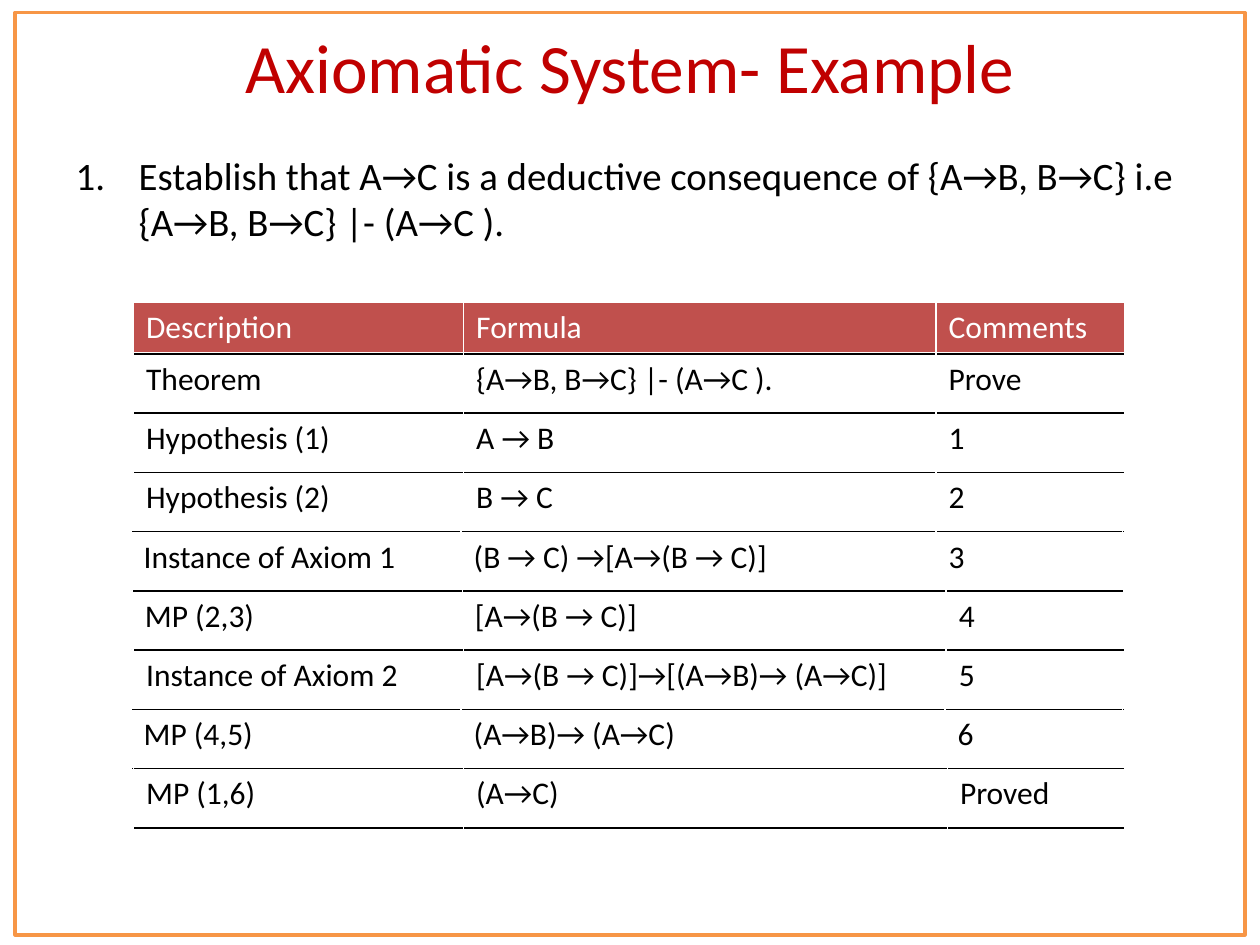
from lxml import etree
from pptx import Presentation
from pptx.dml.color import RGBColor
from pptx.enum.shapes import MSO_SHAPE as Shape
from pptx.enum.text import MSO_ANCHOR as Anchor, MSO_AUTO_SIZE as AutoSize, PP_ALIGN as Align
from pptx.oxml.ns import qn
from pptx.util import Inches, Pt

FONT = "Calibri"
RED, HEADER, ORANGE, BLACK, WHITE = "C00000", "C0504D", "F79646", "000000", "FFFFFF"

TITLE = "Axiomatic System- Example"
TASK = "Establish that A→C is a deductive consequence of {A→B, B→C} i.e {A→B, B→C} |- (A→C )."
# Each proof step: left edge, width of the formula column, cells
STEPS = [
    (1.06, 3.75, ("Description", "Formula", "Comments")),
    (1.06, 3.75, ("Theorem", "{A→B, B→C} |- (A→C ).", "Prove")),
    (1.06, 3.75, ("Hypothesis (1)", "A → B", "1")),
    (1.06, 3.75, ("Hypothesis (2)", "B → C", "2")),
    (1.04, 3.77, ("Instance of Axiom 1", "(B → C) →[A→(B → C)]", "3")),
    (1.05, 3.84, ("MP (2,3)", "[A→(B → C)]", "4")),
    (1.06, 3.83, ("Instance of Axiom 2", "[A→(B → C)]→[(A→B)→ (A→C)]", "5")),
    (1.04, 3.84, ("MP (4,5)", "(A→B)→ (A→C)", "6")),
    (1.06, 3.84, ("MP (1,6)", "(A→C)", "Proved")),
]
TABLE_TOP, TABLE_W, DESCRIPTION_W = 2.4, 7.87, 2.62
HEADER_H, STEP_H = 0.41, 0.47


def rgb(color):
    return RGBColor.from_string(color)


def place(shape, left, top, width, height):
    shape.left, shape.top = Inches(left), Inches(top)
    shape.width, shape.height = Inches(width), Inches(height)


def write(frame, text, size, color):
    frame.text = text
    font = frame.paragraphs[0].runs[0].font
    font.name, font.size, font.bold = FONT, Pt(size), False
    font.color.rgb = rgb(color)


def set_borders(cell, edges):
    props = cell._tc.get_or_add_tcPr()
    for position, (side, color, width) in enumerate(edges):
        line = etree.Element(qn(f"a:ln{side}"), w=str(Pt(width)))
        fill = etree.SubElement(line, qn("a:solidFill"))
        etree.SubElement(fill, qn("a:srgbClr"), val=color)
        props.insert(position, line)


def add_step(slide, left, top, height, formula_w, texts, is_header):
    table = slide.shapes.add_table(1, 3, Inches(left), Inches(top),
                                   Inches(TABLE_W), Inches(height)).table
    table.first_row = table.horz_banding = False
    widths = (DESCRIPTION_W, formula_w, TABLE_W - DESCRIPTION_W - formula_w)
    rule = WHITE if is_header else BLACK
    edges = [("L", WHITE, 1), ("R", WHITE, 1), ("T", rule, 1),
             ("B", rule, 3 if is_header else 1)]
    for column, width, cell, text in zip(table.columns, widths, table.rows[0].cells, texts):
        column.width = Inches(width)
        write(cell.text_frame, text, 18, WHITE if is_header else BLACK)
        if is_header:
            cell.fill.solid()
            cell.fill.fore_color.rgb = rgb(HEADER)
        else:
            cell.fill.background()
        set_borders(cell, edges)


def main():
    deck = Presentation()
    deck.slide_width, deck.slide_height = Inches(10), Inches(7.5)
    slide = deck.slides.add_slide(deck.slide_layouts[1])

    # Title
    title = slide.shapes.title
    place(title, 0.5, 0.18, 9, 0.69)
    title.text_frame.auto_size = AutoSize.NONE
    title.text_frame.vertical_anchor = Anchor.MIDDLE
    write(title.text_frame, TITLE, 39.6, RED)
    title.text_frame.paragraphs[0].alignment = Align.CENTER

    # Numbered task
    task = slide.placeholders[1]
    place(task, 0.5, 1.15, 9, 0.82)
    task.text_frame.auto_size = AutoSize.NONE
    write(task.text_frame, TASK, 22.2, BLACK)
    paragraph = task.text_frame.paragraphs[0]
    paragraph.space_before = Pt(0)
    props = paragraph._p.get_or_add_pPr()
    props.set("marL", str(Inches(0.5)))
    props.set("indent", str(-Inches(0.5)))
    etree.SubElement(props, qn("a:buFont"), typeface="+mj-lt")
    etree.SubElement(props, qn("a:buAutoNum"), type="arabicPeriod")

    # Slide frame
    border = slide.shapes.add_shape(Shape.RECTANGLE, Inches(0.12), Inches(0.1),
                                    Inches(9.76), Inches(7.32))
    border.shadow.inherit = False
    border.fill.background()
    border.line.color.rgb = rgb(ORANGE)
    border.line.width = Pt(2)

    # Proof: one single-row table per step, stacked
    top = TABLE_TOP
    for number, (left, formula_w, texts) in enumerate(STEPS):
        height = STEP_H if number else HEADER_H
        add_step(slide, left, top, height, formula_w, texts, number == 0)
        top += height

    deck.save("out.pptx")


if __name__ == "__main__":
    main()
